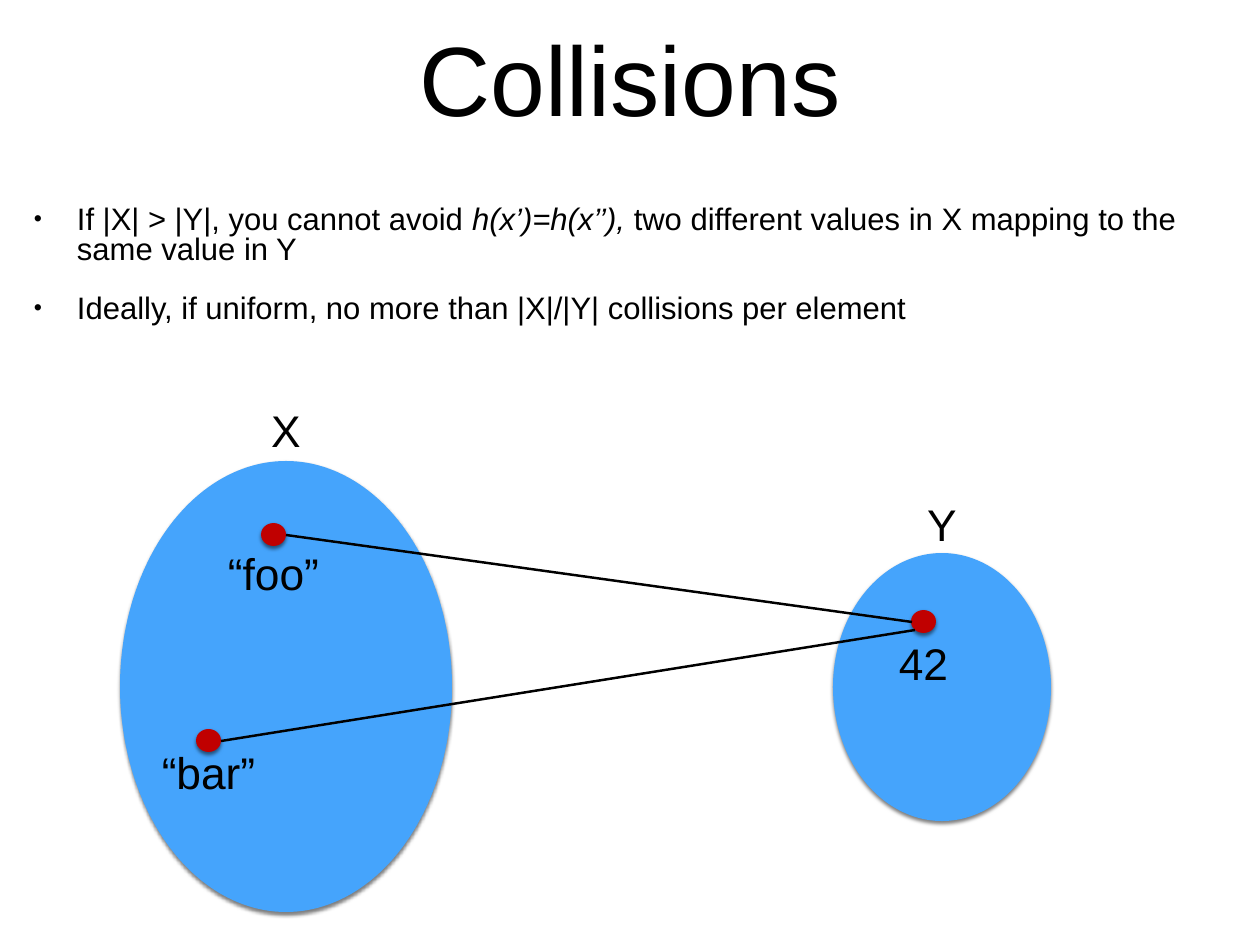
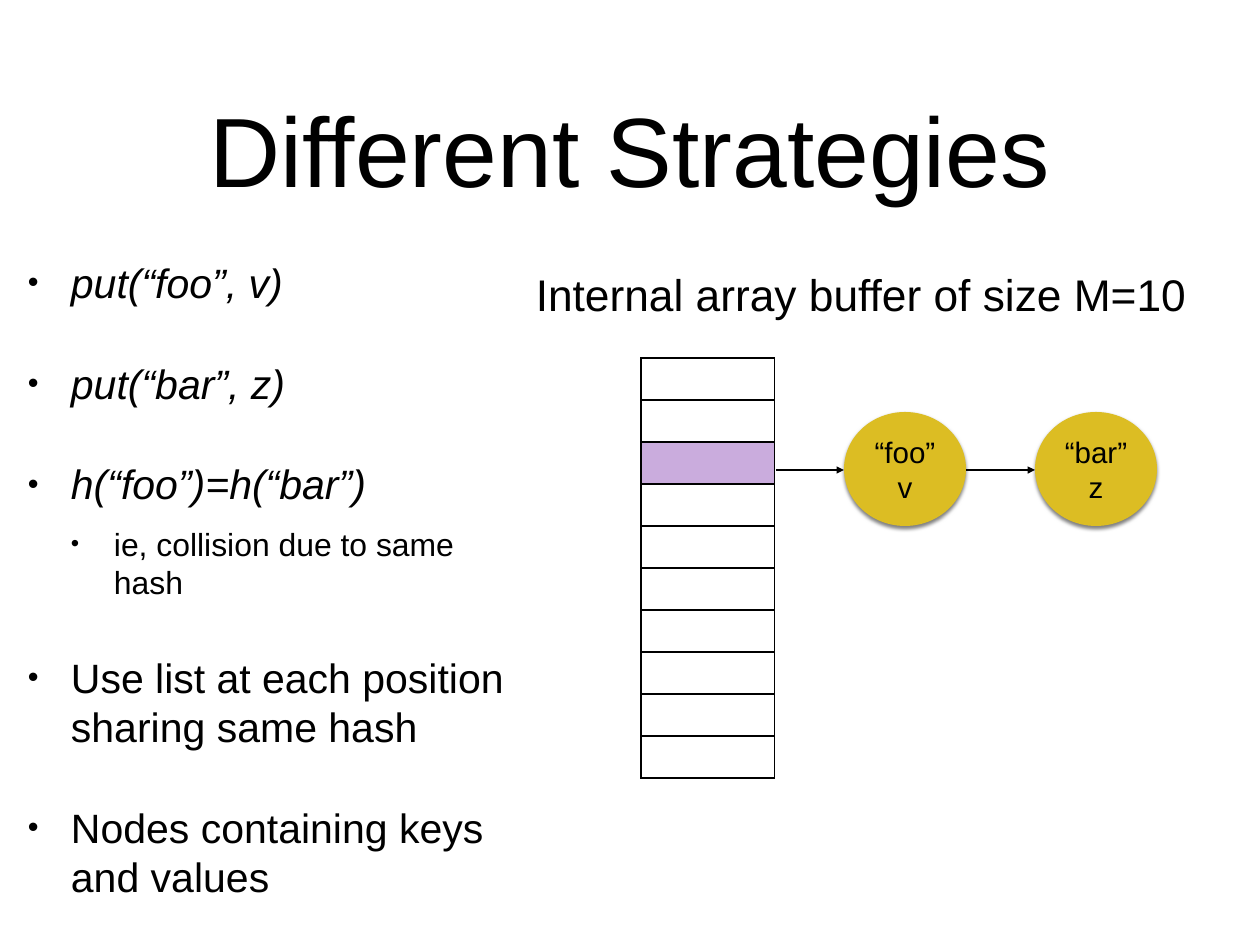
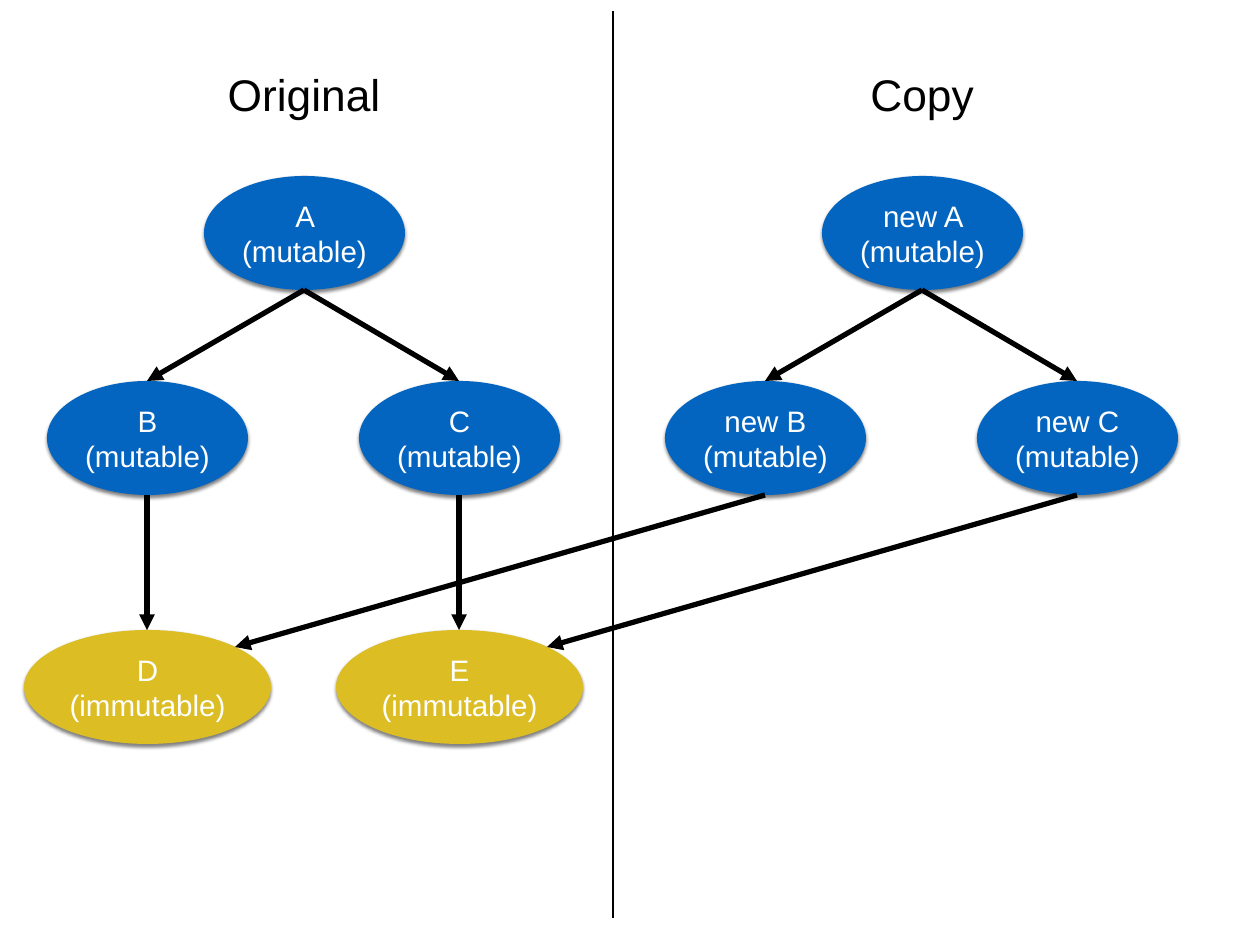
"""Build three slides on hash collisions and copies of object trees."""
from dataclasses import dataclass

from lxml.etree import SubElement as Sub
from pptx import Presentation
from pptx.dml.color import RGBColor as RGB
from pptx.enum.shapes import MSO_CONNECTOR as Conn, MSO_SHAPE as Kind
from pptx.enum.text import MSO_ANCHOR as Anchor, PP_ALIGN as Align
from pptx.oxml.ns import qn
from pptx.slide import Slide
from pptx.text.text import TextFrame as Frame
from pptx.util import Pt

PX = 10320
INK = RGB(0, 0, 0)
WHITE = RGB(255, 255, 255)
SKY = RGB(0x45, 0xA4, 0xFC)
BLUE = RGB(0x03, 0x65, 0xC0)
GOLD = RGB(0xDC, 0xBD, 0x23)
RED = RGB(0xC0, 0, 0)
LILAC = RGB(0xCA, 0xAC, 0xDD)
FACE = "Arial"
DENT = 43
SHIFT = 618
TALL = 114


@dataclass(frozen=True)
class Box:
    left: int
    top: int
    width: int
    height: int

    def emu(self) -> tuple[int, ...]:
        return tuple(v * PX for v in (self.left, self.top, self.width, self.height))


@dataclass(frozen=True)
class Run:
    text: str
    slant: bool = False


@dataclass(frozen=True)
class Item:
    runs: tuple[Run, ...]
    size: float
    before: int
    level: int = 0
    space: float = 1.0


@dataclass(frozen=True)
class Node:
    name: str
    mid: int
    top: int
    width: int = 201
    fill: RGB = BLUE


def set_up(frame: Frame, wrap: bool = True) -> None:
    frame.word_wrap = wrap
    frame.vertical_anchor = Anchor.MIDDLE
    frame.margin_left = frame.margin_right = 5 * PX
    frame.margin_top = frame.margin_bottom = 5 * PX


def write(frame: Frame, text: str, size: float, ink: RGB = INK, wrap: bool = True) -> None:
    set_up(frame, wrap)
    frame.text = text
    for para in frame.paragraphs:
        para.alignment = Align.CENTER
        font = para.font
        font.name, font.size = FACE, Pt(size)
        font.color.rgb = ink


def label(slide: Slide, text: str, box: Box) -> None:
    write(slide.shapes.add_textbox(*box.emu()).text_frame, text, 36, wrap=False)


def title(slide: Slide, text: str, top: int, height: int) -> None:
    box = Box(92, top, 1076, height)
    write(slide.shapes.add_textbox(*box.emu()).text_frame, text, 80)


def bullets(slide: Slide, box: Box, items: list[Item]) -> None:
    frame = slide.shapes.add_textbox(*box.emu()).text_frame
    set_up(frame)
    for i, item in enumerate(items):
        para = frame.add_paragraph() if i else frame.paragraphs[0]
        para.level = item.level
        para.line_spacing = item.space
        para.space_before = Pt(item.before)
        props = para._p.get_or_add_pPr()
        props.set("marL", str(DENT * (item.level + 1) * PX))
        props.set("indent", str(-DENT * PX))
        Sub(props, qn("a:buSzPct"), val="75000")
        Sub(props, qn("a:buFont"), typeface=FACE)
        Sub(props, qn("a:buChar"), char="•")
        font = para.font
        font.name, font.size = FACE, Pt(item.size)
        font.color.rgb = INK
        for part in item.runs:
            run = para.add_run()
            run.text = part.text
            if part.slant:
                run.font.italic = True


def oval(slide: Slide, box: Box, fill: RGB, text: str = "", ink: RGB = INK) -> None:
    shape = slide.shapes.add_shape(Kind.OVAL, *box.emu())
    shape.fill.solid()
    shape.fill.fore_color.rgb = fill
    shape.line.fill.background()
    shape.shadow.inherit = False
    glow = shape._element.spPr.find(qn("a:effectLst"))
    cast = Sub(glow, qn("a:outerShdw"), blurRad=str(Pt(3)), dist=str(Pt(2)),
               dir="5400000", rotWithShape="0")
    tint = Sub(cast, qn("a:srgbClr"), val=str(INK))
    Sub(tint, qn("a:alpha"), val="50000")
    if text:
        write(shape.text_frame, text, 24, ink)


def line(slide: Slide, start: tuple[int, int], end: tuple[int, int],
         width: float = 2, head: bool = False) -> None:
    link = slide.shapes.add_connector(Conn.STRAIGHT, *(v * PX for v in start + end))
    link.line.color.rgb = INK
    link.line.width = Pt(width)
    if head:
        Sub(link.line._get_or_add_ln(), qn("a:tailEnd"), type="triangle")
    Sub(link._element.spPr, qn("a:effectLst"))


def grid(slide: Slide, box: Box, count: int, mark: int) -> None:
    table = slide.shapes.add_table(count, 1, *box.emu()).table
    table.first_row = table.horz_banding = False
    for i in range(count):
        cell = table.cell(i, 0)
        if i == mark:
            cell.fill.solid()
            cell.fill.fore_color.rgb = LILAC
        else:
            cell.fill.background()
        props = cell._tc.get_or_add_tcPr()
        for at, side in enumerate("LRTB"):
            edge = Sub(props, qn(f"a:ln{side}"), w=str(Pt(1)))
            Sub(Sub(edge, qn("a:solidFill")), qn("a:srgbClr"), val=str(INK))
            props.insert(at, edge)


def clash(slide: Slide) -> None:
    title(slide, "Collisions", 9, 136)
    first = (Run("If |X| > |Y|, you cannot avoid "), Run("h(x’)=h(x’’), ", True),
             Run("two different values in X mapping to the same value in Y"))
    last = (Run("Ideally, if uniform, no more than |X|/|Y| collisions per element"),)
    bullets(slide, Box(29, 197, 1206, 139),
            [Item(runs, 25.2, 24, space=0.8) for runs in (first, last)])
    oval(slide, Box(833, 553, 218, 268), SKY)
    oval(slide, Box(120, 461, 332, 451), SKY)
    for left, top in ((261, 523), (911, 610), (196, 729)):
        oval(slide, Box(left, top, 25, 23), RED)
    line(slide, (286, 535), (912, 622))
    line(slide, (221, 741), (915, 630))
    for text, left, top, width in (
        ("Y", 920, 492, 44), ("X", 264, 398, 44), ("42", 891, 631, 65),
        ("“foo”", 220, 541, 107), ("“bar”", 154, 740, 109),
    ):
        label(slide, text, Box(left, top, width, 64))


def chain(slide: Slide) -> None:
    title(slide, "Different Strategies", 44, 209)
    calls = ("put(“foo”, v)", "put(“bar”, z)", "h(“foo”)=h(“bar”)")
    notes = ("Use list at each position sharing same hash",
             "Nodes containing keys and values")
    bullets(slide, Box(23, 252, 504, 654), [
        *(Item((Run(text, True),), 33.3, 42) for text in calls),
        Item((Run("ie, collision due to same hash"),), 25.9, 13, 1),
        *(Item((Run(text),), 33.3, 42) for text in notes),
    ])
    grid(slide, Box(641, 358, 134, 420), 10, 2)
    label(slide, "Internal array buffer of size M=10", Box(526, 262, 670, 64))
    for text, start, left in (("“foo”\nv", 776, 844), ("“bar”\vz", 966, 1035)):
        oval(slide, Box(left, 412, 122, TALL), GOLD, text)
        line(slide, (start, 470), (left, 470), head=True)


def trees(slide: Slide) -> None:
    line(slide, (613, 11), (613, 918))
    root, left, right = (Node("A", 304, 176), Node("B", 147, 381), Node("C", 459, 381))
    leaves = [Node(name, kid.mid, 630, 247, GOLD)
              for name, kid in (("D", left), ("E", right))]
    old = [root, left, right]
    new = [Node(f"new {n.name}", n.mid + SHIFT, n.top) for n in old]
    for node in old + leaves + new:
        kind = "immutable" if node in leaves else "mutable"
        oval(slide, Box(node.mid - node.width // 2, node.top, node.width, TALL),
             node.fill, f"{node.name} ({kind})", WHITE)
    pairs = [(tree[0], kid) for tree in (old, new) for kid in tree[1:]]
    pairs += zip(old[1:], leaves)
    for high, low in pairs:
        line(slide, (high.mid, high.top + TALL), (low.mid, low.top), 4.25, True)
    for high, low in zip(new[1:], leaves):
        line(slide, (high.mid, high.top + TALL), (low.mid + 88, low.top + 17), 4.25, True)
    for text, mid, width in (("Original", root.mid, 170), ("Copy", new[0].mid, 120)):
        label(slide, text, Box(mid - width // 2, 62, width, 64))


def main() -> None:
    deck = Presentation()
    deck.slide_width, deck.slide_height = 1260 * PX, 945 * PX
    for draw in (clash, chain, trees):
        draw(deck.slides.add_slide(deck.slide_layouts[6]))
    deck.save("out.pptx")


if __name__ == "__main__":
    main()
